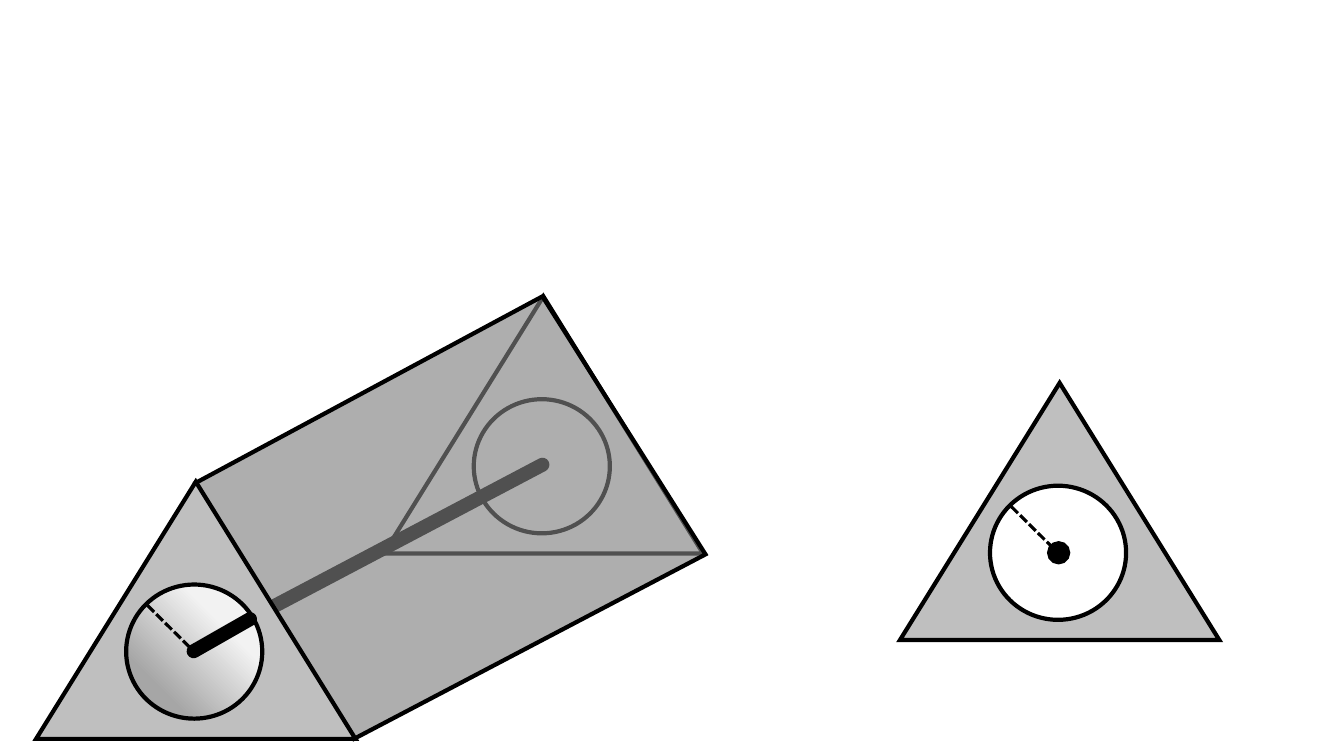
from lxml import etree
from pptx import Presentation
from pptx.dml.color import RGBColor
from pptx.enum.dml import MSO_LINE_DASH_STYLE as DASH
from pptx.enum.shapes import MSO_CONNECTOR as CONN, MSO_SHAPE as SHAPE
from pptx.oxml import parse_xml
from pptx.oxml.ns import nsdecls, qn
from pptx.util import Cm, Pt

# Content: positions and sizes in cm
SLIDE = (33.87, 19.05)
BLACK, GREY, WHITE = "000000", "BFBFBF", "FFFFFF"
PRISM_SIDE = {"points": [(4.93, 12.17), (13.67, 7.47), (17.78, 13.97), (8.92, 18.62)],
              "fill": "808080", "alpha": 63}
SHADING = [(29, "F2F2F2"), (77, "A6A6A6")]
FACES = {
    "back": {"at": (9.67, 7.47), "fill": None, "hole": None, "radius": False},
    "front": {"at": (0.91, 12.14), "fill": GREY, "hole": SHADING, "radius": True},
    "section": {"at": (22.68, 9.65), "fill": GREY, "hole": WHITE, "radius": True},
}
WIRE_BACK = ((4.85, 16.36), (13.67, 11.71))
WIRE_FRONT = ((4.88, 16.41), (6.3, 15.6))
WIRE_END = (26.44, 13.69, 0.48, 0.48)

# Parts of a face, relative to its top left corner
FACE_SIZE = (8.05, 6.48)
HOLE = (2.27, 2.59, 3.43, 3.38)
RADIUS = ((3.87, 4.17), (2.77, 3.08))
OUTLINE = {"width": Pt(3)}
WIRE = {"width": Pt(10)}
DOTTED = {"width": Pt(2.25), "dash_style": DASH.SQUARE_DOT}


def rgb(value):
    return RGBColor.from_string(value)


def style_line(shape, fmt, join="miter", cap="flat"):
    shape.line.fill.solid()
    shape.line.fill.fore_color.rgb = rgb(BLACK)
    for name, value in fmt.items():
        setattr(shape.line, name, value)
    ln = shape.line._get_or_add_ln()
    ln.set("cap", cap)
    node = etree.SubElement(ln, qn(f"a:{join}"))
    if join == "miter":
        node.set("lim", "800000")


def shade(sp, stops):
    """Circular gradient centred on the top right corner."""
    marks = "".join(f'<a:gs pos="{pos * 1000}"><a:srgbClr val="{color}"/></a:gs>'
                    for pos, color in stops)
    grad = parse_xml(f'<a:gradFill {nsdecls("a")} rotWithShape="1"><a:gsLst>{marks}</a:gsLst>'
                     '<a:path path="circle"><a:fillToRect l="100000" b="100000"/></a:path>'
                     '</a:gradFill>')
    sp._element.spPr.find(qn("a:prstGeom")).addnext(grad)


def paint(sp, fill):
    sp.shadow.inherit = False
    if fill is None:
        sp.fill.background()
    elif isinstance(fill, list):
        shade(sp, fill)
    else:
        sp.fill.solid()
        sp.fill.fore_color.rgb = rgb(fill)
    style_line(sp, OUTLINE)


def add_shape(kind, box, fill):
    sp = group.shapes.add_shape(kind, *map(Cm, box))
    paint(sp, fill)


def add_line(ends, fmt, **stroke):
    (x1, y1), (x2, y2) = ends
    line = group.shapes.add_connector(CONN.STRAIGHT, Cm(x1), Cm(y1), Cm(x2), Cm(y2))
    style_line(line, fmt, **stroke)
    etree.SubElement(line._element.spPr, qn("a:effectLst"))


def add_wire(ends):
    add_line(ends, WIRE, join="round", cap="rnd")


def add_face(at, fill, hole, radius):
    x, y = at
    dx, dy, w, h = HOLE
    add_shape(SHAPE.ISOSCELES_TRIANGLE, (x, y, *FACE_SIZE), fill)
    add_shape(SHAPE.OVAL, (x + dx, y + dy, w, h), hole)
    if radius:
        add_line([(x + px, y + py) for px, py in RADIUS], DOTTED)


def add_side(points, fill, alpha):
    corners = [(Cm(x), Cm(y)) for x, y in points]
    builder = group.shapes.build_freeform(*corners[0])
    builder.add_line_segments(corners[1:], close=True)
    sp = builder.convert_to_shape()
    paint(sp, fill)
    color = sp._element.spPr.find(qn("a:solidFill")).find(qn("a:srgbClr"))
    etree.SubElement(color, qn("a:alpha")).set("val", str(alpha * 1000))


prs = Presentation()
prs.slide_width, prs.slide_height = map(Cm, SLIDE)
s = prs.slides.add_slide(prs.slide_layouts[6])
group = s.shapes.add_group_shape()

# Prism, from back to front
add_wire(WIRE_BACK)
add_face(**FACES["back"])
add_side(**PRISM_SIDE)
add_face(**FACES["front"])
add_wire(WIRE_FRONT)

# Cross-section
add_face(**FACES["section"])
add_shape(SHAPE.OVAL, WIRE_END, BLACK)

prs.save("out.pptx")
